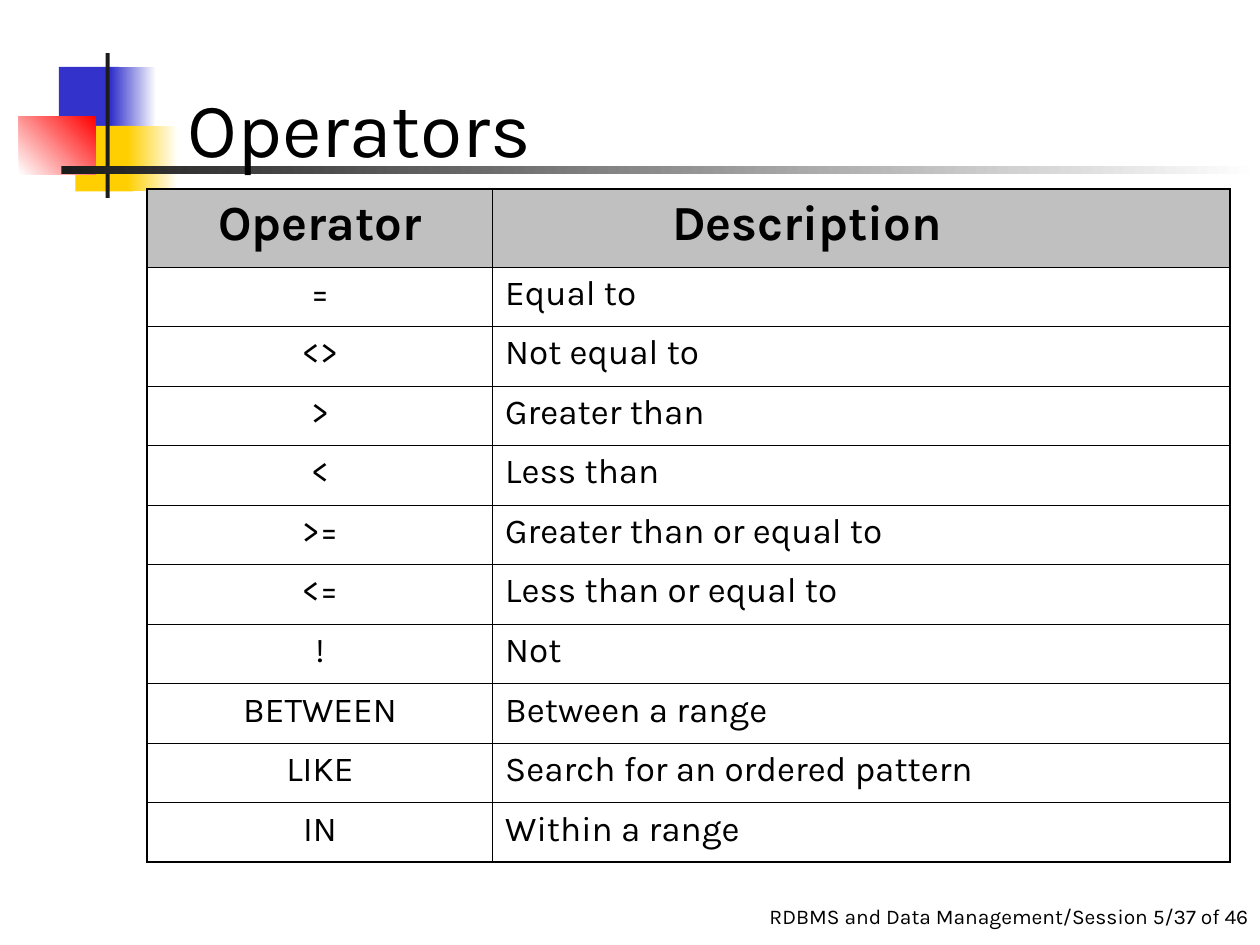
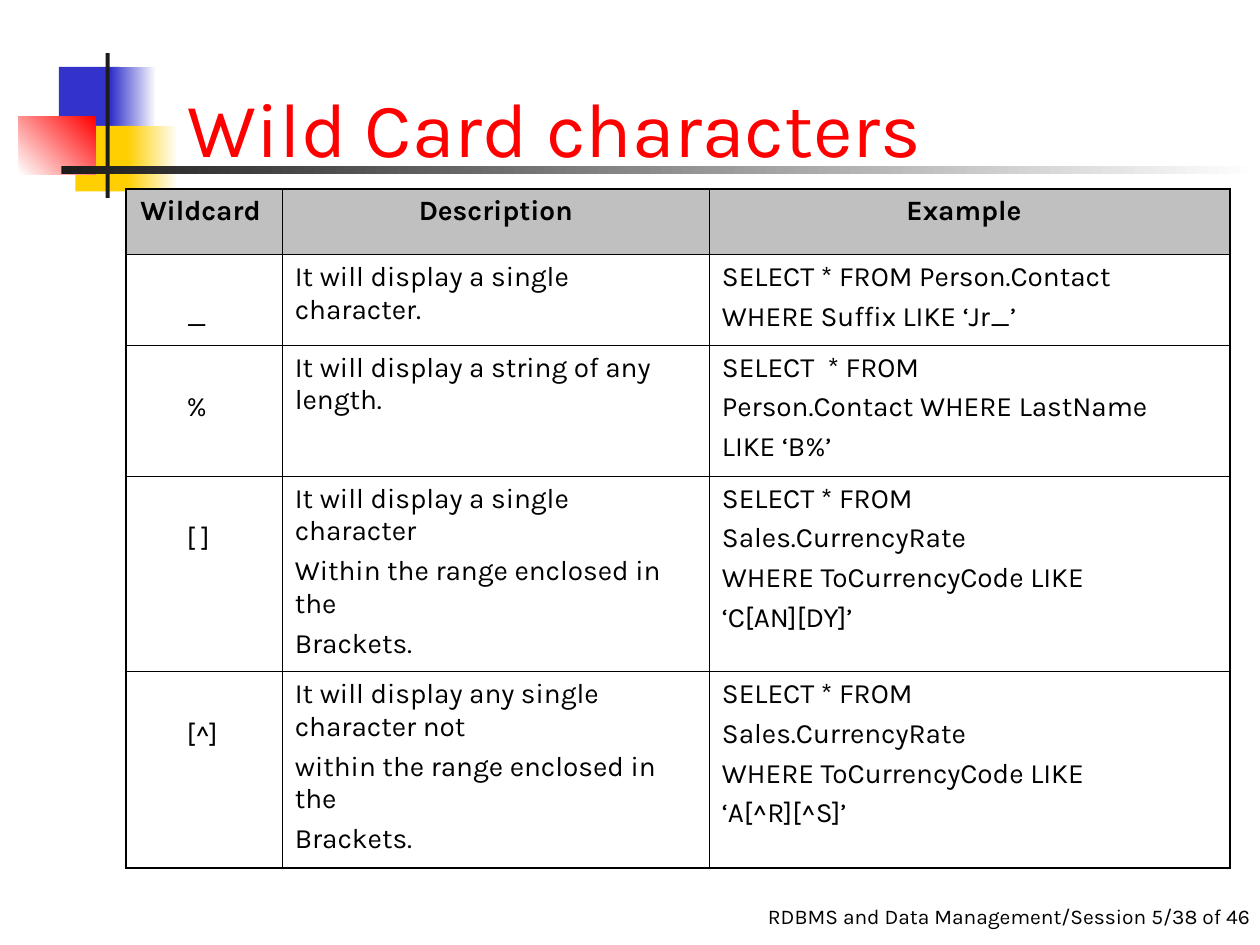
"""Build two slides on SQL operators and wildcard characters."""
import pptx
import pptx.dml.color
import pptx.enum.shapes
import pptx.enum.text
import pptx.oxml
import pptx.oxml.ns
import pptx.util

Cm = pptx.util.Cm
Pt = pptx.util.Pt
RGB = pptx.dml.color.RGBColor
ALIGN = pptx.enum.text.PP_ALIGN

BLACK = RGB(0x00, 0x00, 0x00)
WHITE = RGB(0xFF, 0xFF, 0xFF)
RED = RGB(0xFF, 0x00, 0x00)
BLUE = RGB(0x33, 0x33, 0xCC)
YELLOW = RGB(0xFF, 0xCF, 0x01)
CHARCOAL = RGB(0x1C, 0x1C, 0x1C)
GREY = RGB(0xC0, 0xC0, 0xC0)

FONT = "Karla"
THIN, THICK = 0.45, 1.08
TABLE_TOP = 3.81

MOTIF = [
    ((1.19, 1.35, 1.22, 1.32), (BLUE,), 0),
    ((2.24, 1.35, 0.91, 1.32), (BLUE, WHITE), 0),
    ((1.52, 2.54, 1.17, 1.32), (YELLOW,), 0),
    ((2.57, 2.54, 1.02, 1.32), (YELLOW, WHITE), 0),
    ((0.38, 2.34, 1.55, 1.17), (WHITE, RED), 45),
    ((2.13, 1.07, 0.08, 2.92), (CHARCOAL,), 0),
    ((1.24, 3.35, 24.16, 0.15), (CHARCOAL, WHITE), 0),
]

OPERATORS = [
    ("Operator", "Description"),
    ("=", "Equal to"),
    ("<>", "Not equal to"),
    (">", "Greater than"),
    ("<", "Less than"),
    (">=", "Greater than or equal to"),
    ("<=", "Less than or equal to"),
    ("!", "Not"),
    ("BETWEEN", "Between a range"),
    ("LIKE", "Search for an ordered pattern"),
    ("IN", "Within a range"),
]

WILDCARDS = [
    ("Wildcard", "Description", "Example"),
    ("_", "It will display a single character.",
     "SELECT * FROM Person.Contact\nWHERE Suffix LIKE ‘Jr_’"),
    ("%", "It will display a string of any length.",
     "SELECT  * FROM\nPerson.Contact WHERE LastName\nLIKE ‘B%’"),
    ("[ ]", "It will display a single character\n"
     "Within the range enclosed in the\nBrackets.",
     "SELECT * FROM\nSales.CurrencyRate\n"
     "WHERE ToCurrencyCode LIKE\n‘C[AN][DY]’"),
    ("[^]", "It will display any single character not\n"
     "within the range enclosed in the\nBrackets.",
     "SELECT * FROM\nSales.CurrencyRate\n"
     "WHERE ToCurrencyCode LIKE\n‘A[^R][^S]’"),
]


class Deck:
    """Hold the presentation style and the slide being built."""

    def __init__(self):
        self.prs = pptx.Presentation()
        self.prs.slide_width, self.prs.slide_height = Cm(25.4), Cm(19.05)
        self.slide = None

    def add_slide(self, title, number, color=BLACK):
        """Start a slide with its motif, footer and title."""
        self.slide = self.prs.slides.add_slide(self.prs.slide_layouts[5])
        self.footer(f"RDBMS and Data Management/Session 5/{number} of 46")
        for box, colors, angle in MOTIF:
            self.block(box, colors, angle)
        self.title(title, color)

    def style(self, p, size, color=BLACK, bold=False, align=ALIGN.LEFT):
        """Format one paragraph."""
        p.alignment = align
        p.font.name, p.font.size, p.font.bold = FONT, Pt(size), bold
        p.font.color.rgb = color

    def title(self, text, color):
        """Place the title in front of the motif."""
        sp = self.slide.shapes.title
        self.slide.shapes._spTree.append(sp._element)
        sp.left, sp.top, sp.width, sp.height = map(Cm, (3.53, 0.43, 21.64, 3.18))
        tf = sp.text_frame
        tf.text = text
        tf.auto_size = pptx.enum.text.MSO_AUTO_SIZE.NONE
        tf.vertical_anchor = pptx.enum.text.MSO_ANCHOR.BOTTOM
        self.style(tf.paragraphs[0], 44, color)

    def footer(self, text):
        """Add the footer line."""
        sp = self.slide.shapes.add_textbox(*map(Cm, (13.97, 18.08, 12.5, 0.84)))
        tf = sp.text_frame
        tf.word_wrap = True
        tf.margin_right = 0
        tf.text = text
        self.style(tf.paragraphs[0], 12, align=ALIGN.CENTER)

    def block(self, box, colors, angle):
        """Add a rectangle filled with one colour or a gradient of two."""
        sp = self.slide.shapes.add_shape(
            pptx.enum.shapes.MSO_SHAPE.RECTANGLE, *map(Cm, box))
        sp.shadow.inherit = False
        sp.line.fill.background()
        if len(colors) == 1:
            sp.fill.solid()
            sp.fill.fore_color.rgb = colors[0]
            return
        sp.fill.gradient()
        sp.fill.gradient_angle = angle
        for stop, color in zip(sp.fill.gradient_stops, colors):
            stop.color.rgb = color

    def border(self, cell, widths):
        """Draw the left, right, top and bottom borders of a cell."""
        tc_pr = cell._tc.get_or_add_tcPr()
        for side, width in zip("LRTB", widths):
            tc_pr.append(pptx.oxml.parse_xml(
                f'<a:ln{side} {pptx.oxml.ns.nsdecls("a")} w="{Pt(width)}">'
                f'<a:solidFill><a:srgbClr val="{BLACK}"/></a:solidFill>'
                f'</a:ln{side}>'))

    def table(self, rows, left, widths, heights, head_size, body_size,
              space, center_first):
        """Add a ruled table with a grey header and return it."""
        frame = self.slide.shapes.add_table(
            len(rows), len(widths), Cm(left), Cm(TABLE_TOP),
            Cm(sum(widths)), Cm(sum(heights)))
        table = frame.table
        table.first_row = table.horz_banding = False
        for column, width in zip(table.columns, widths):
            column.width = Cm(width)
        for row, height in zip(table.rows, heights):
            row.height = Cm(height)
        last_row, last_col = len(rows) - 1, len(widths) - 1
        for i, texts in enumerate(rows):
            for j, text in enumerate(texts):
                cell = table.cell(i, j)
                outer = (j == 0, j == last_col, i == 0, i == last_row)
                self.border(cell, [THICK if edge else THIN for edge in outer])
                head = i == 0
                if head:
                    cell.fill.solid()
                    cell.fill.fore_color.rgb = GREY
                else:
                    cell.fill.background()
                cell.text = text
                centered = head or (center_first and j == 0)
                for k, p in enumerate(cell.text_frame.paragraphs):
                    p.space_before = Pt(space if k else 0)
                    self.style(p, head_size if head else body_size, bold=head,
                               align=ALIGN.CENTER if centered else ALIGN.LEFT)
        return table


def main():
    """Build and save both slides."""
    deck = Deck()

    deck.add_slide("Operators", 37)
    table = deck.table(OPERATORS, 2.97, [6.96, 14.86], [1.57] + [1.2] * 10,
                       28, 20, 5, True)
    table.cell(0, 1).margin_right = Cm(2.43)

    deck.add_slide("Wild Card characters", 38, RED)
    table = deck.table(WILDCARDS, 2.54, [3.15, 8.61, 10.49],
                       [1.32, 1.83, 2.64, 3.94, 3.96], 16, 16, 4, False)
    table.cell(0, 0).margin_right = Cm(0.4)
    table.cell(0, 2).margin_right = Cm(0.48)
    for i in range(1, len(WILDCARDS)):
        cell = table.cell(i, 0)
        cell.margin_left, cell.margin_top = Cm(1.22), Cm(0.93)

    deck.prs.save("out.pptx")


if __name__ == "__main__":
    main()
